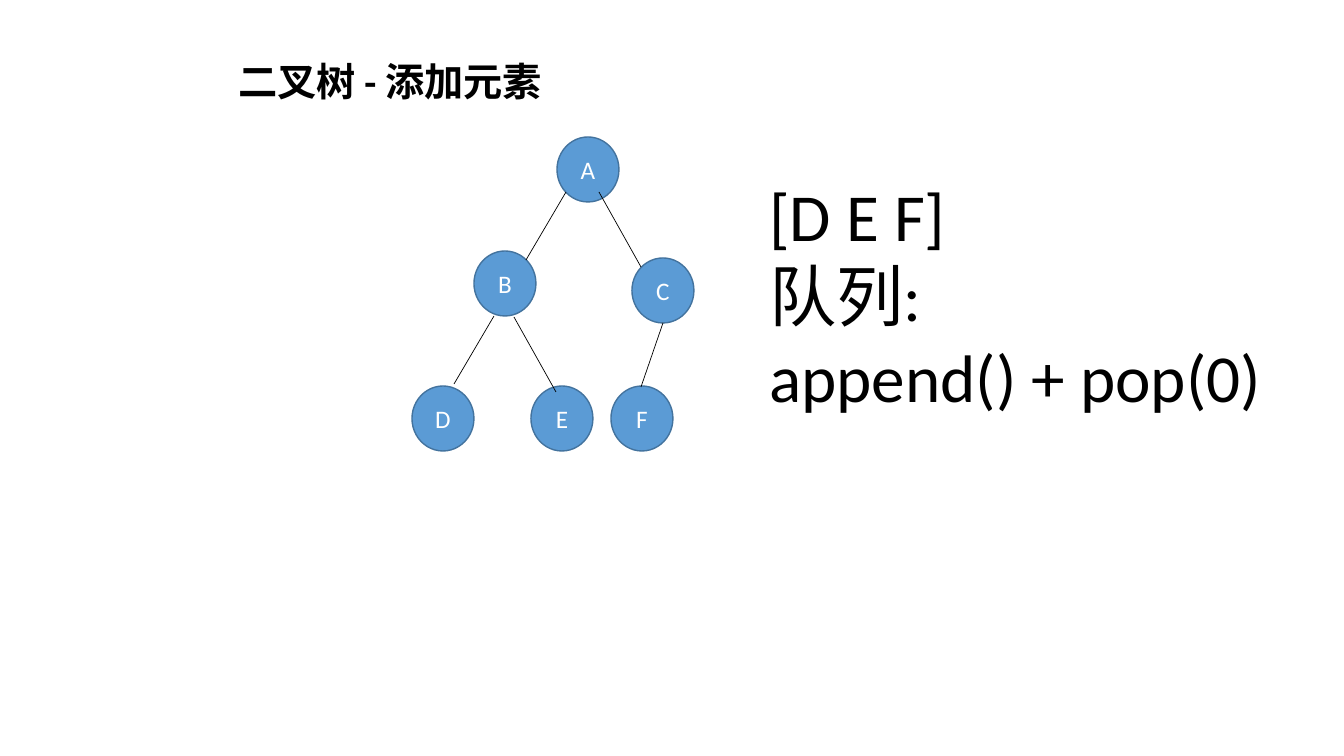
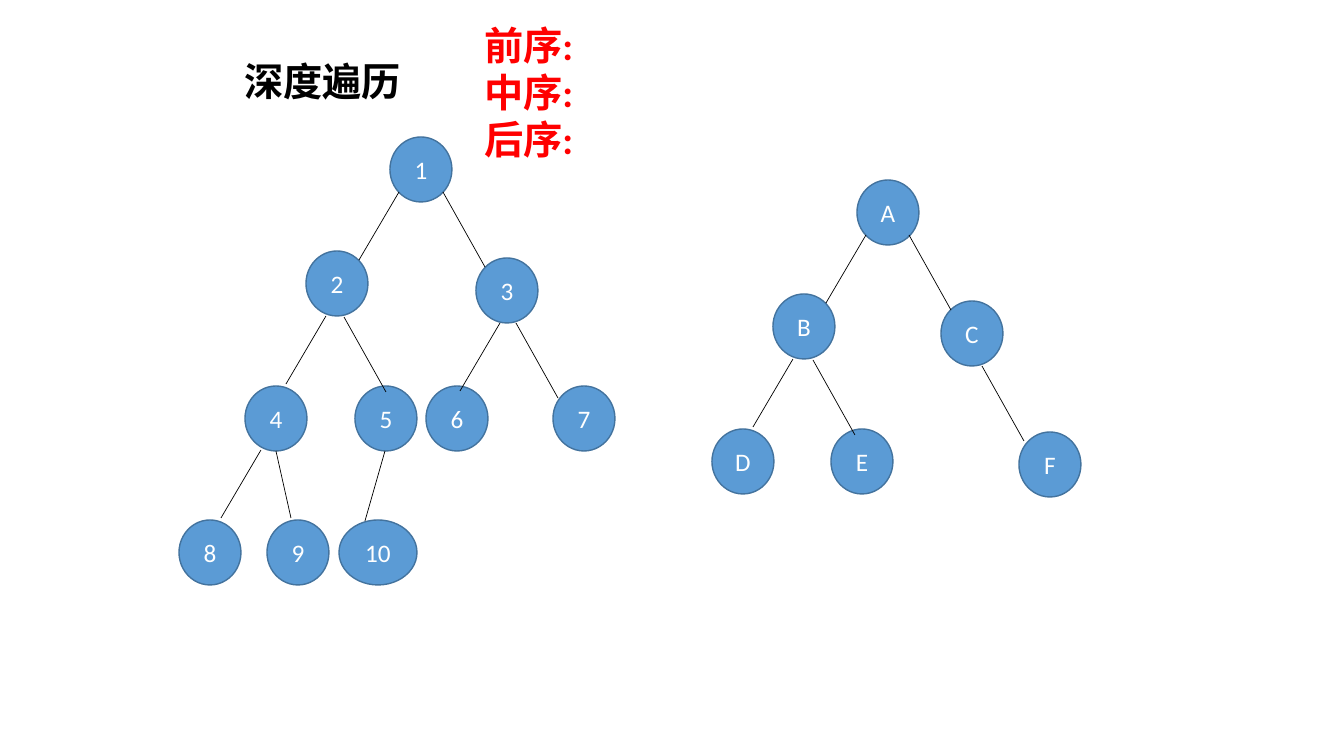
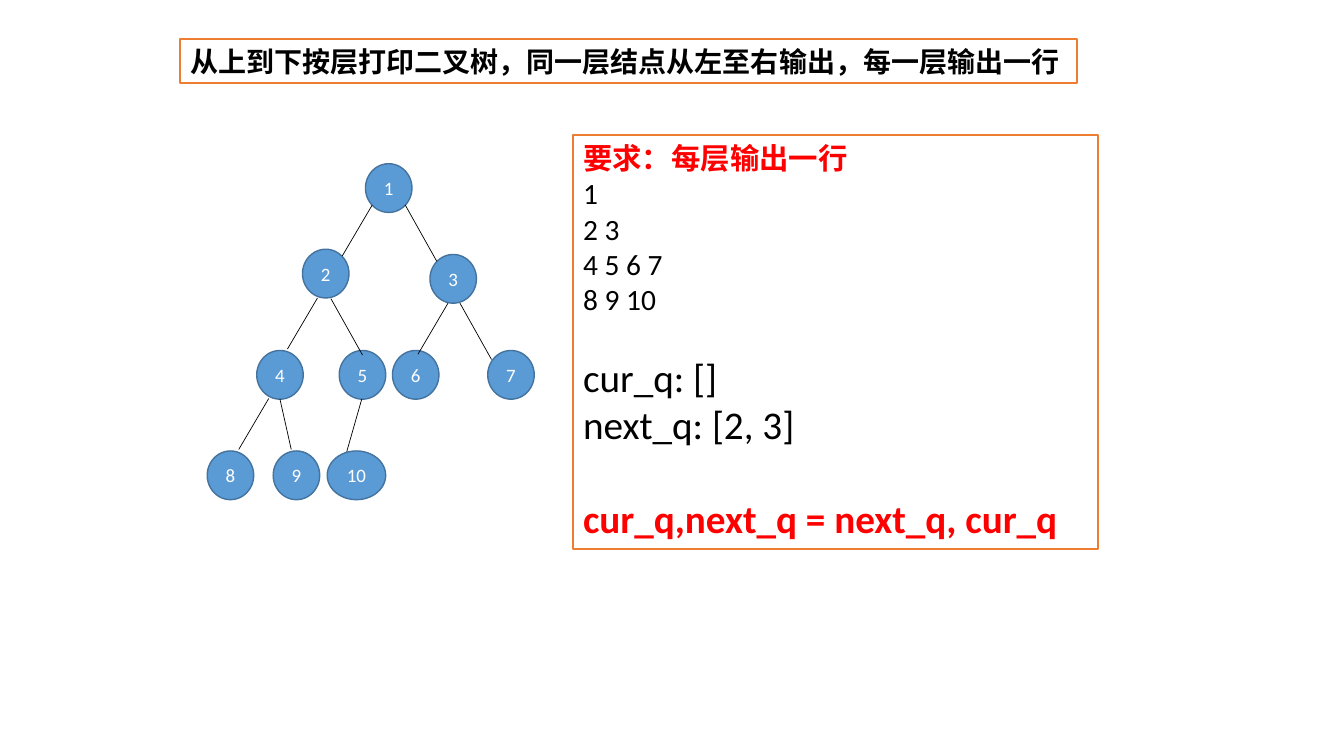
"""Builds three slides on binary trees: adding nodes, depth traversal and printing by level."""
from lxml import etree
from pptx import Presentation
from pptx import util as u
from pptx.dml.color import RGBColor
from pptx.enum import shapes, text
from pptx.oxml.ns import qn

COLORS = {"node": "5B9BD5", "node_line": "43739E", "ink": "000000", "alert": "FF0000",
          "paper": "FFFFFF", "frame": "ED7D31"}
LATIN, CJK = "Calibri", "Noto Sans CJK SC"
PX = 914400 / 100.8
NODE_W, WIDE_NODE_W, NODE_H = 62, 78, 65

LEFT, RIGHT = (-40, 68), (42, 75)

QUEUE_TREE = {
    "nodes": {"A": (557, 137), "B": (474, 251), "C": (632, 258),
              "D": (412, 386), "E": (531, 386), "F": (611, 386)},
    "edges": [("A", 9, 55, LEFT), ("A", 42, 55, RIGHT), ("B", 20, 65, LEFT),
              ("B", 40, 66, RIGHT), ("C", 31, 65, (-22, 64))],
}
LETTER_TREE = {
    "nodes": {"A": (857, 180), "B": (773, 294), "C": (941, 301),
              "D": (712, 429), "E": (831, 429), "F": (1019, 432)},
    "edges": [("A", 9, 55, LEFT), ("A", 52, 55, RIGHT), ("B", 20, 65, LEFT),
              ("B", 40, 66, RIGHT), ("C", 41, 65, RIGHT)],
}
NUMBER_TREE = {
    "nodes": {"1": (390, 137), "2": (306, 251), "3": (476, 258), "4": (245, 386),
              "5": (355, 386), "6": (426, 386), "7": (553, 386), "8": (179, 520),
              "9": (267, 520), "10": (339, 520)},
    "edges": [("1", 9, 55, LEFT), ("1", 53, 55, RIGHT), ("2", 20, 65, LEFT),
              ("2", 38, 66, RIGHT), ("3", 24, 65, LEFT), ("3", 40, 65, RIGHT),
              ("4", 16, 64, LEFT), ("4", 31, 65, (15, 67)), ("5", 30, 65, (-20, 70))],
}

HEADING = {"size": 28, "bold": True}
ALERT = {"size": 28, "bold": True, "color": "alert"}
QUEUE = {"size": 48}
LEVEL = {"size": 21}
STATE = {"size": 28}

SLIDES = [
    {"title": ("二叉树 - 添加元素", HEADING), "title_box": (228, 52, 328, 57),
     "body": [("[D E F]", QUEUE), ("队列:", QUEUE), ("append() + pop(0)", QUEUE)],
     "body_box": (759, 169, 585, 336), "framed": False,
     "trees": [(QUEUE_TREE, 1, 0, 0)]},
    {"title": ("深度遍历", HEADING), "title_box": (234, 52, 178, 57),
     "body": [("前序:", ALERT), ("中序:", ALERT), ("后序:", ALERT)],
     "body_box": (474, 16, 699, 152), "framed": False,
     "trees": [(NUMBER_TREE, 1, 0, 0), (LETTER_TREE, 1, 0, 0)]},
    {"title": ("从上到下按层打印二叉树，同一层结点从左至右输出，每一层输出一行",
               {"size": 20, "bold": True, "font": CJK}),
     "title_box": (180, 39, 897, 44),
     "body": [("要求：每层输出一行", {**ALERT, "size": 21}),
              ("1", LEVEL), ("2 3", LEVEL), ("4 5 6 7", LEVEL), ("8 9 10", LEVEL),
              ("cur_q: []", {**STATE, "before": 26}), ("next_q: [2, 3]", STATE),
              ("cur_q,next_q = next_q, cur_q", {**ALERT, "before": 34})],
     "body_box": (573, 135, 525, 414), "framed": True,
     "trees": [(NUMBER_TREE, 0.75, 73, 61)]},
]


def px(*lengths):
    return [u.Emu(round(length * PX)) for length in lengths]


def color(name):
    return RGBColor.from_string(COLORS[name])


def paint(shape, fill, line):
    shape.fill.solid()
    shape.fill.fore_color.rgb = color(fill)
    shape.line.color.rgb = color(line)
    shape.line.width = u.Pt(1)


def write(paragraph, words, style):
    run = paragraph.add_run()
    run.text = words
    font_values = {"size": u.Pt(style["size"]), "bold": style.get("bold", False),
                   "name": style.get("font", LATIN)}
    for name, value in font_values.items():
        setattr(run.font, name, value)
    run.font.color.rgb = color(style.get("color", "ink"))
    etree.SubElement(run.font._element, qn("a:ea"), typeface=CJK)


def fill_placeholder(holder, box, lines, framed):
    for name, value in zip(("left", "top", "width", "height"), px(*box)):
        setattr(holder, name, value)
    frame_values = {"word_wrap": True, "auto_size": text.MSO_AUTO_SIZE.NONE,
                    "vertical_anchor": text.MSO_ANCHOR.TOP}
    for name, value in frame_values.items():
        setattr(holder.text_frame, name, value)
    if framed:
        paint(holder, "paper", "frame")
    for i, (words, style) in enumerate(lines):
        frame = holder.text_frame
        paragraph = frame.add_paragraph() if i else frame.paragraphs[0]
        paragraph_values = {"alignment": text.PP_ALIGN.LEFT, "line_spacing": 1.0,
                            "space_before": u.Pt(style.get("before", 0)),
                            "space_after": u.Pt(0)}
        for name, value in paragraph_values.items():
            setattr(paragraph, name, value)
        properties = paragraph._p.get_or_add_pPr()
        properties.set("marL", "0")
        properties.set("indent", "0")
        etree.SubElement(properties, qn("a:buNone"))
        write(paragraph, words, style)


def draw_tree(slide, tree, scale, left, top):
    def place(x, y):
        return px(x * scale + left, y * scale + top)

    for label, corner in tree["nodes"].items():
        width = WIDE_NODE_W if len(label) > 1 else NODE_W
        node = slide.shapes.add_shape(shapes.MSO_SHAPE.OVAL, *place(*corner),
                                      *px(width * scale, NODE_H * scale))
        node.shadow.inherit = False
        paint(node, "node", "node_line")
        node.text_frame.vertical_anchor = text.MSO_ANCHOR.MIDDLE
        paragraph = node.text_frame.paragraphs[0]
        paragraph.alignment = text.PP_ALIGN.CENTER
        write(paragraph, label, {"size": 18 * scale, "color": "paper"})
    for parent, dx, dy, (run, drop) in tree["edges"]:
        x, y = tree["nodes"][parent]
        edge = slide.shapes.add_connector(
            shapes.MSO_CONNECTOR.STRAIGHT,
            *place(x + dx + run, y + dy + drop), *place(x + dx, y + dy))
        edge.line.color.rgb = color("ink")
        edge.line.width = u.Pt(0.5)
        etree.SubElement(edge._element.spPr, qn("a:effectLst"))


deck = Presentation()
deck.slide_width, deck.slide_height = px(1344, 756)
for content in SLIDES:
    slide = deck.slides.add_slide(deck.slide_layouts[1])
    title, body = slide.placeholders
    fill_placeholder(title, content["title_box"], [content["title"]], content["framed"])
    fill_placeholder(body, content["body_box"], content["body"], content["framed"])
    for tree in content["trees"]:
        draw_tree(slide, *tree)
deck.save("out.pptx")
